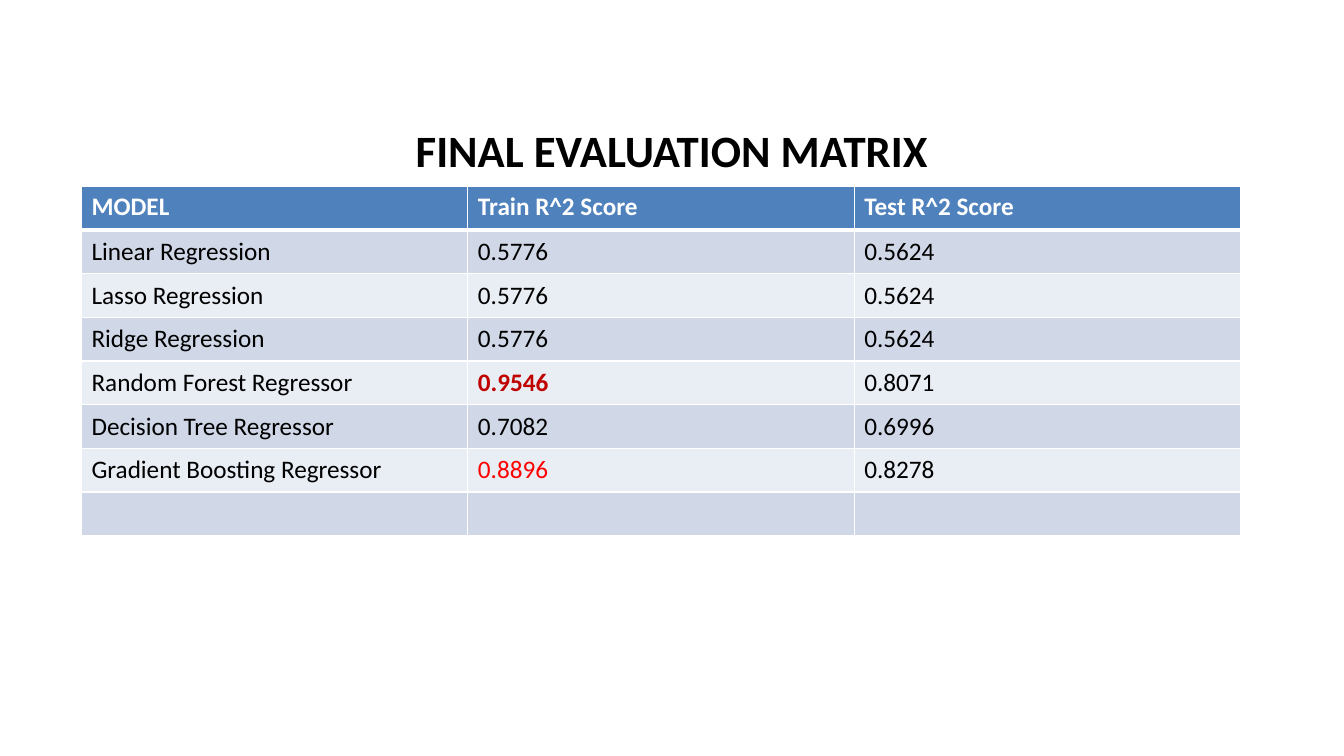
from dataclasses import dataclass

from lxml import etree
from pptx import Presentation
from pptx import util as u
from pptx.dml.color import RGBColor
from pptx.enum import text
from pptx.oxml.ns import qn

PX = 7620  # EMU, 120 px to the inch


@dataclass(frozen=True)
class Theme:
    font: str = "Calibri"
    title_size: int = 32
    table_size: int = 18
    ink: str = "000000"
    white: str = "FFFFFF"
    header: str = "4F81BD"
    bands: tuple = ("D0D8E8", "E9EDF4")
    best: str = "C00000"
    runner_up: str = "FF0000"
    thin_rule: int = 1
    header_rule: int = 3


THEME = Theme()

SCORES = [
    ("MODEL", "Train R^2 Score", "Test R^2 Score"),
    ("Linear Regression", "0.5776", "0.5624"),
    ("Lasso Regression", "0.5776", "0.5624"),
    ("Ridge Regression", "0.5776", "0.5624"),
    ("Random Forest Regressor", "0.9546", "0.8071"),
    ("Decision Tree Regressor", "0.7082", "0.6996"),
    ("Gradient Boosting Regressor", "0.8896", "0.8278"),
    ("", "", ""),
]
# score: (colour, bold)
HIGHLIGHTS = {"0.9546": (THEME.best, True), "0.8896": (THEME.runner_up, False)}


def px(*lengths):
    return [u.Emu(length * PX) for length in lengths]


def style_runs(paragraph, size, color, bold):
    for run in paragraph.runs:
        run.font.name = THEME.font
        run.font.size = u.Pt(size)
        run.font.bold = bold
        run.font.color.rgb = RGBColor.from_string(color)


def add_title(slide, wording, left, top, width, height):
    frame = slide.shapes.add_textbox(*px(left, top, width, height)).text_frame
    frame.word_wrap = True
    frame.vertical_anchor = text.MSO_ANCHOR.MIDDLE
    frame.text = wording
    paragraph = frame.paragraphs[0]
    paragraph.alignment = text.PP_ALIGN.CENTER
    style_runs(paragraph, THEME.title_size, THEME.ink, True)


def set_borders(cell, row):
    """Draw thin white rules, with a thicker one beneath the header row."""
    weights = dict.fromkeys(("lnL", "lnR", "lnT", "lnB"), THEME.thin_rule)
    if row == 0:
        weights["lnB"] = THEME.header_rule
    elif row == 1:
        weights["lnT"] = THEME.header_rule
    properties = cell._tc.get_or_add_tcPr()
    for side, weight in weights.items():
        line = etree.SubElement(properties, qn(f"a:{side}"), w=str(u.Pt(weight)))
        fill = etree.SubElement(line, qn("a:solidFill"))
        etree.SubElement(fill, qn("a:srgbClr"), val=THEME.white)


def fill_cell(cell, wording, row):
    if row == 0:
        background, color, bold = THEME.header, THEME.white, True
    else:
        background = THEME.bands[(row - 1) % 2]
        color, bold = HIGHLIGHTS.get(wording, (THEME.ink, False))
        cell.vertical_anchor = text.MSO_ANCHOR.MIDDLE
    set_borders(cell, row)
    cell.fill.solid()
    cell.fill.fore_color.rgb = RGBColor.from_string(background)
    cell.text_frame.text = wording
    style_runs(cell.text_frame.paragraphs[0], THEME.table_size, color, bold)


def add_score_table(slide, rows, left, top, column_width, row_height):
    columns = len(rows[0])
    table = slide.shapes.add_table(
        len(rows), columns,
        *px(left, top, columns * column_width, len(rows) * row_height),
    ).table
    for row, wordings in enumerate(rows):
        for column, wording in enumerate(wordings):
            fill_cell(table.cell(row, column), wording, row)


def main():
    presentation = Presentation()
    presentation.slide_width, presentation.slide_height = px(1600, 900)
    slide = presentation.slides.add_slide(presentation.slide_layouts[6])
    add_title(slide, "FINAL EVALUATION MATRIX", 80, 122, 1440, 113)
    add_score_table(slide, SCORES, 97, 222, column_width=460, row_height=52)
    presentation.save("out.pptx")


if __name__ == "__main__":
    main()
